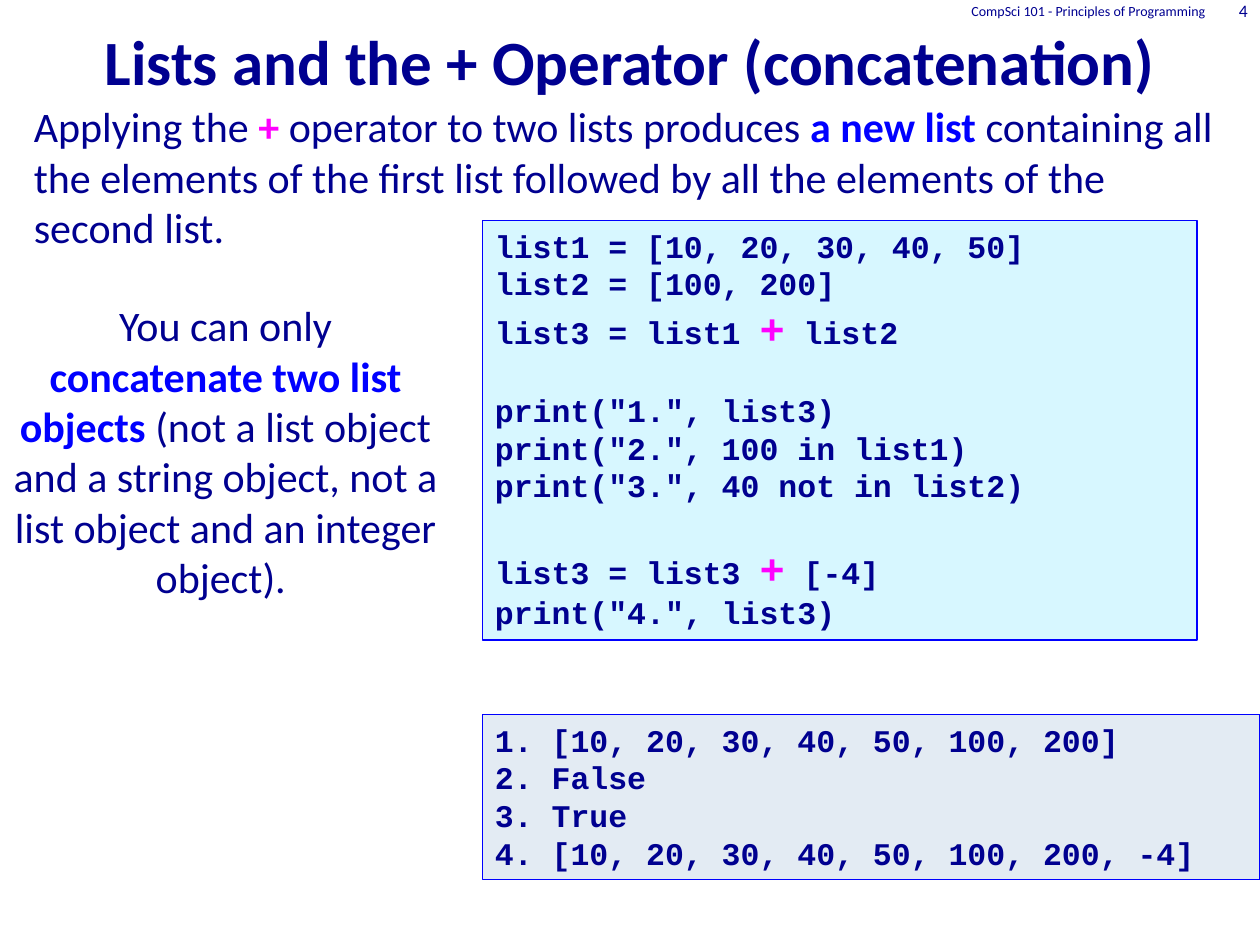
from dataclasses import dataclass
from pptx import Presentation
from pptx.dml.color import RGBColor as Rgb
from pptx.enum.shapes import MSO_SHAPE as Shape
from pptx.enum.text import MSO_ANCHOR as Anchor, PP_ALIGN as Align
from pptx.util import Inches, Pt


@dataclass(frozen=True)
class Theme:
    navy: str = "000090"
    blue: str = "0000FF"
    pink: str = "FF00FF"
    code: str = "D7F7FF"
    result: str = "E3EBF3"
    sans: str = "Calibri"
    mono: str = "Courier New"
    head: int = 36
    body: int = 24
    text: int = 18
    page: int = 10
    foot: int = 8
    gap: float = 21.8


T = Theme()


def add_run(para, text, size, font=T.sans, color=T.navy, bold=False):
    run = para.add_run()
    run.text = text
    face = run.font
    face.name, face.size, face.bold = font, Pt(size), bold
    face.color.rgb = Rgb.from_string(color)


def add_text(slide, box, runs, size, align=Align.LEFT, anchor=Anchor.TOP):
    """Place one paragraph; each run is (text, color, bold)."""
    frame = slide.shapes.add_textbox(*map(Inches, box)).text_frame
    frame.word_wrap = True
    frame.vertical_anchor = anchor
    para = frame.paragraphs[0]
    para.alignment = align
    for text, color, bold in runs:
        add_run(para, text, size, color=color, bold=bold)


def add_code(slide, box, fill, blocks):
    """Place blocks of code lines with a gap between blocks; a plus stands out."""
    panel = slide.shapes.add_shape(Shape.RECTANGLE, *map(Inches, box))
    panel.shadow.inherit = False
    panel.fill.solid()
    panel.fill.fore_color.rgb = Rgb.from_string(fill)
    panel.line.color.rgb = Rgb.from_string(T.blue)
    panel.line.width = Pt(0.75)
    frame = panel.text_frame
    frame.word_wrap = True
    frame.vertical_anchor = Anchor.TOP
    para = None
    for block in blocks:
        for row, line in enumerate(block):
            first = para is None
            para = frame.paragraphs[0] if first else frame.add_paragraph()
            para.alignment = Align.LEFT
            if row == 0 and not first:
                para.space_before = Pt(T.gap)
            left, plus, right = line.partition("+")
            add_run(para, left, T.text, T.mono, bold=True)
            if plus:
                add_run(para, plus, T.body, T.mono, T.pink, True)
                add_run(para, right, T.text, T.mono, bold=True)


def add_head(slide, box):
    """Place the course name, page number and title in the top band."""
    left, top, width, height = box
    right = left + width
    for edge, wide, text, size in (
        (right - 0.33, 3, "CompSci 101 - Principles of Programming", T.foot),
        (right, 0.58, "4", T.page),
    ):
        add_text(slide, (edge - wide, top, wide, 0.17), [(text, T.navy, False)],
                 size, Align.RIGHT, Anchor.MIDDLE)
    add_text(slide, box, [("Lists and the + Operator (concatenation)", T.navy, True)],
             T.head, Align.CENTER, Anchor.BOTTOM)


def add_intro(slide, box):
    add_text(slide, box, [
        ("Applying the ", T.navy, False),
        ("+", T.pink, True),
        (" operator to two lists produces ", T.navy, False),
        ("a new list ", T.blue, True),
        ("containing all the elements of the first list followed by all "
         "the elements of the second list.", T.navy, False),
    ], T.body)


def add_note(slide, box):
    add_text(slide, box, [
        ("You can only ", T.navy, False),
        ("concatenate two list objects ", T.blue, True),
        ("(not a list object and a string object, not a list object "
         "and an integer object). ", T.navy, False),
    ], T.body, Align.CENTER)


def main():
    deck = Presentation()
    deck.slide_width, deck.slide_height = Inches(10), Inches(7.5)
    slide = deck.slides.add_slide(deck.slide_layouts[6])
    add_head(slide, (0, 0, 10, 0.83))
    add_intro(slide, (0.17, 0.75, 9.7, 6.33))
    add_code(slide, (3.83, 1.75, 5.67, 3.33), T.code, [
        ["list1 = [10, 20, 30, 40, 50]",
         "list2 = [100, 200]",
         "list3 = list1 + list2"],
        ['print("1.", list3)',
         'print("2.", 100 in list1)',
         'print("3.", 40 not in list2)'],
        ["list3 = list3 + [-4]",
         'print("4.", list3)'],
    ])
    add_code(slide, (3.83, 5.67, 6.17, 1.31), T.result, [
        ["1. [10, 20, 30, 40, 50, 100, 200]",
         "2. False",
         "3. True",
         "4. [10, 20, 30, 40, 50, 100, 200, -4]"],
    ])
    add_note(slide, (0, 2.33, 3.58, 2.52))
    deck.save("out.pptx")


if __name__ == "__main__":
    main()
